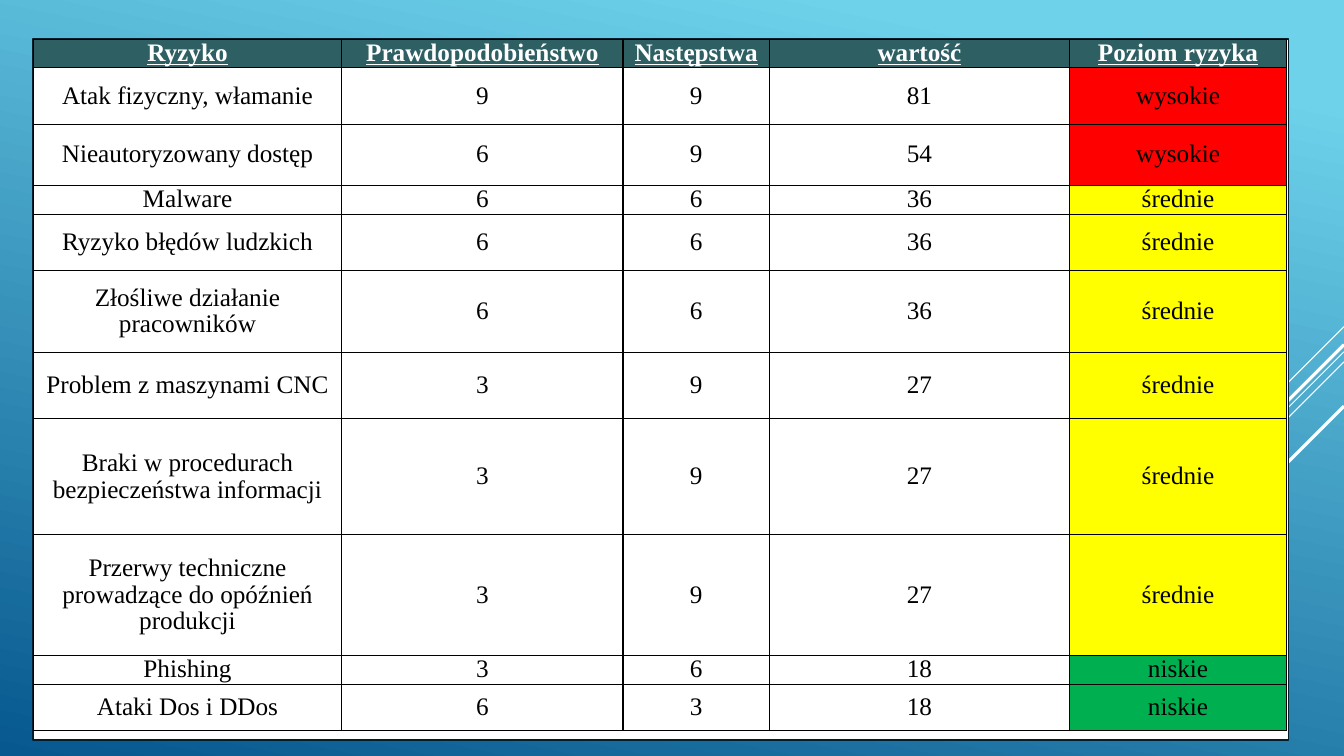
import pptx
import pptx.dml.color
import pptx.enum.shapes
import pptx.enum.text
import pptx.oxml.ns
import pptx.util
from lxml import etree
from pptx.util import Inches

FONT = "Times New Roman"
HEADERS = ["Ryzyko", "Prawdopodobieństwo", "Następstwa", "wartość", "Poziom ryzyka"]
# risk, probability, consequence, row height
RISKS = [
    ("Atak fizyczny, włamanie", 9, 9, 0.56),
    ("Nieautoryzowany dostęp", 6, 9, 0.61),
    ("Malware", 6, 6, 0.27),
    ("Ryzyko błędów ludzkich", 6, 6, 0.56),
    ("Złośliwe działanie pracowników", 6, 6, 0.81),
    ("Problem z maszynami CNC", 3, 9, 0.66),
    ("Braki w procedurach bezpieczeństwa informacji", 3, 9, 1.15),
    ("Przerwy techniczne prowadzące do opóźnień produkcji", 3, 9, 1.2),
    ("Phishing", 3, 6, 0.22),
    ("Ataki Dos i DDos", 6, 3, 0.46),
]
HEADER_HEIGHT = 0.22
COLUMN_WIDTHS = [3.06, 2.79, 1.45, 2.98, 2.15]
TABLE_BOX = [Inches(v) for v in (0.33, 0.39, 12.45, 6.95)]
# start y at the right edge, length along each axis, width in points
DIAGONALS = [
    (3.24, 1, 0.75),
    (3.49, 3.26, 0.75),
    (3.59, 2.07, 0.75),
    (3.42, 1.91, 2.25),
    (4.03, 1.39, 2.25),
]


def color(value):
    return pptx.dml.color.RGBColor.from_string(value)


def risk_level(value):
    """Return the name and the colour of the level for a risk value."""
    if value >= 54:
        return "wysokie", "FF0000"
    if value >= 27:
        return "średnie", "FFFF00"
    return "niskie", "00B050"


def set_background(s):
    fill = s.background.fill
    fill.gradient()
    fill.gradient_angle = 258
    for stop, (position, value) in zip(fill.gradient_stops, [(0.1, "6ED2EB"), (1, "06588E")]):
        stop.position = position
        stop.color.rgb = color(value)


def add_diagonal(s, y, length, width):
    line = s.shapes.add_connector(
        pptx.enum.shapes.MSO_CONNECTOR.STRAIGHT,
        Inches(13.33), Inches(y), Inches(13.33 - length), Inches(y + length))
    line.line.color.rgb = color("FFFFFF")
    line.line.width = pptx.util.Pt(width)
    etree.SubElement(line._element.spPr, pptx.oxml.ns.qn("a:effectLst"))


def add_panel(s):
    sp = s.shapes.add_shape(pptx.enum.shapes.MSO_SHAPE.RECTANGLE, *TABLE_BOX)
    sp.shadow.inherit = False
    sp.fill.solid()
    sp.fill.fore_color.rgb = color("FFFFFF")
    sp.line.color.rgb = color("021E2B")
    sp.line.width = pptx.util.Pt(1.25)


def add_borders(cell):
    qn = pptx.oxml.ns.qn
    tc_pr = cell._tc.get_or_add_tcPr()
    for side in ("lnL", "lnR", "lnT", "lnB"):
        ln = etree.SubElement(tc_pr, qn("a:" + side), w=str(pptx.util.Pt(1)))
        solid = etree.SubElement(ln, qn("a:solidFill"))
        etree.SubElement(solid, qn("a:srgbClr"), val="000000")


def write_cell(cell, text, fill=None, header=False):
    anchor = pptx.enum.text.MSO_ANCHOR
    add_borders(cell)
    cell.margin_left = cell.margin_right = Inches(0.01)
    cell.margin_top = cell.margin_bottom = Inches(0.01)
    cell.vertical_anchor = anchor.TOP if header else anchor.MIDDLE
    if fill:
        cell.fill.solid()
        cell.fill.fore_color.rgb = color(fill)
    else:
        cell.fill.background()
    p = cell.text_frame.paragraphs[0]
    p.alignment = pptx.enum.text.PP_ALIGN.CENTER
    p.space_before = pptx.util.Pt(12)
    p.line_spacing = 0.95
    r = p.add_run()
    r.text = text
    r.font.name = FONT
    r.font.size = pptx.util.Pt(18)
    r.font.bold = r.font.underline = header
    r.font.color.rgb = color("FFFFFF" if header else "000000")


def add_risk_table(s):
    table = s.shapes.add_table(len(RISKS) + 1, len(HEADERS), *TABLE_BOX).table
    table.horz_banding = False
    for column, width in zip(table.columns, COLUMN_WIDTHS):
        column.width = Inches(width)
    table.rows[0].height = Inches(HEADER_HEIGHT)
    for cell, text in zip(table.rows[0].cells, HEADERS):
        write_cell(cell, text, "2E5F63", header=True)
    for i, (risk, probability, consequence, height) in enumerate(RISKS, 1):
        value = probability * consequence
        level, fill = risk_level(value)
        table.rows[i].height = Inches(height)
        for j, content in enumerate([risk, probability, consequence, value]):
            write_cell(table.cell(i, j), str(content))
        write_cell(table.cell(i, 4), level, fill)


def main():
    prs = pptx.Presentation()
    prs.slide_width, prs.slide_height = Inches(13.33), Inches(7.5)
    s = prs.slides.add_slide(prs.slide_layouts[6])
    set_background(s)
    for diagonal in DIAGONALS:
        add_diagonal(s, *diagonal)
    add_panel(s)
    add_risk_table(s)
    prs.save("out.pptx")


if __name__ == "__main__":
    main()
